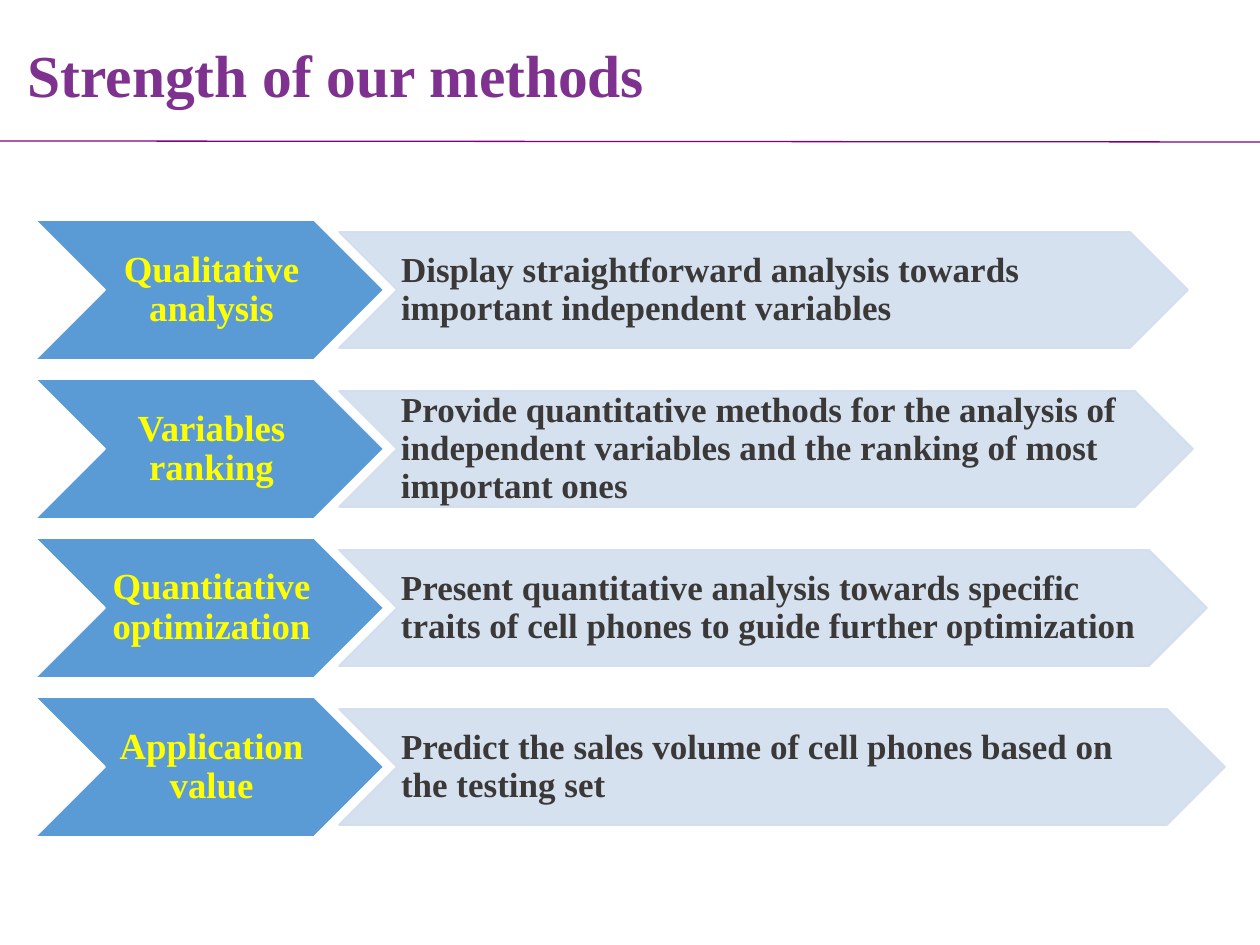
from dataclasses import dataclass

from lxml.etree import SubElement
from pptx import Presentation
from pptx.dml.color import RGBColor
from pptx.enum.shapes import MSO_CONNECTOR as Connector, MSO_SHAPE as Shape
from pptx.enum.text import MSO_ANCHOR as Anchor, MSO_AUTO_SIZE as AutoSize, PP_ALIGN as Align
from pptx.oxml.ns import qn
from pptx.util import Emu, Pt

PX_PER_INCH = 126


@dataclass(frozen=True)
class Theme:
    """Colours, font and type sizes of the slide."""
    font: str = "Times New Roman"
    title: str = "7E318E"
    rule: str = "800080"
    label_fill: str = "5B9BD5"
    label_line: str = "FFFFFF"
    label_text: str = "FFFF00"
    detail_fill: str = "D2DEEF"
    detail_text: str = "3B3838"
    title_size: int = 34
    label_size: int = 21
    detail_size: int = 20


def px(length):
    """Turn px into EMU."""
    return Emu(round(length * 914400 / PX_PER_INCH))


def write(frame, text, *, font, size, color, align=Align.LEFT):
    """Fill a text frame with one bold, vertically centred paragraph."""
    frame.text = text
    frame.word_wrap = True
    frame.auto_size = AutoSize.NONE
    frame.vertical_anchor = Anchor.MIDDLE
    paragraph = frame.paragraphs[0]
    paragraph.alignment = align
    paragraph.line_spacing = 0.9
    run_font = paragraph.runs[0].font
    run_font.name, run_font.size, run_font.bold = font, Pt(size), True
    run_font.color.rgb = RGBColor.from_string(color)


def set_alpha(fill_format, percent):
    """Make a solid fill partly transparent."""
    color = fill_format._xPr.find(qn("a:solidFill"))[0]
    SubElement(color, qn("a:alpha"), val=str(percent * 1000))


class SlideBuilder:
    """Holds the theme and the current slide, and adds its elements."""

    def __init__(self, slide, theme):
        self.slide = slide
        self.theme = theme

    def title(self, text, left, top, width, height):
        """Place and format the title placeholder."""
        shape = self.slide.shapes.title
        shape.left, shape.top, shape.width, shape.height = map(px, (left, top, width, height))
        write(shape.text_frame, text, font=self.theme.font,
              size=self.theme.title_size, color=self.theme.title)

    def rule(self, x1, y1, x2, y2):
        """Draw the line below the title."""
        line = self.slide.shapes.add_connector(Connector.STRAIGHT, *map(px, (x1, y1, x2, y2)))
        line.line.color.rgb = RGBColor.from_string(self.theme.rule)
        line.line.width = Pt(0.75)
        SubElement(line._element.spPr, qn("a:effectLst"))

    def chevron(self, text, left, top, width, height, *, fill, line, alpha=100, **text_format):
        """Draw a chevron with its text."""
        shape = self.slide.shapes.add_shape(Shape.CHEVRON, *map(px, (left, top, width, height)))
        shape.shadow.inherit = False
        shape.fill.solid()
        shape.fill.fore_color.rgb = RGBColor.from_string(fill)
        shape.line.color.rgb = RGBColor.from_string(line)
        shape.line.width = Pt(1)
        if alpha < 100:
            set_alpha(shape.fill, alpha)
            set_alpha(shape.line.fill, alpha)
        frame = shape.text_frame
        frame.margin_left, frame.margin_right = px(4), 0
        frame.margin_top = frame.margin_bottom = px(1)
        write(frame, text, font=self.theme.font, **text_format)

    def strength(self, label, detail, top, detail_width):
        """Draw one row: a label chevron and its explanation."""
        theme = self.theme
        self.chevron(label, 35, top, 349, 140, fill=theme.label_fill, line=theme.label_line,
                     size=theme.label_size, color=theme.label_text, align=Align.CENTER)
        self.chevron(detail, 339, top + 12, detail_width, 116, fill=theme.detail_fill,
                     line=theme.detail_fill, alpha=90,
                     size=theme.detail_size, color=theme.detail_text)


STRENGTHS = [
    ("Qualitative analysis",
     "Display straightforward analysis towards important independent variables", 849),
    ("Variables ranking",
     "Provide quantitative methods for the analysis of independent variables "
     "and the ranking of most important ones", 854),
    ("Quantitative optimization",
     "Present quantitative analysis towards specific traits of cell phones "
     "to guide further optimization", 868),
    ("Application value",
     "Predict the sales volume of cell phones based on the testing set", 886),
]
FIRST_ROW, ROW_PITCH = 220, 159


def main():
    """Build and save the slide."""
    presentation = Presentation()
    presentation.slide_width, presentation.slide_height = px(1260), px(945)
    slide = presentation.slides.add_slide(presentation.slide_layouts[5])
    builder = SlideBuilder(slide, Theme())
    builder.rule(0, 141, 1260, 142)
    builder.title("Strength of our methods", 15, 0, 1134, 157)
    for row, (label, detail, width) in enumerate(STRENGTHS):
        builder.strength(label, detail, FIRST_ROW + row * ROW_PITCH, width)
    presentation.save("out.pptx")


if __name__ == "__main__":
    main()
